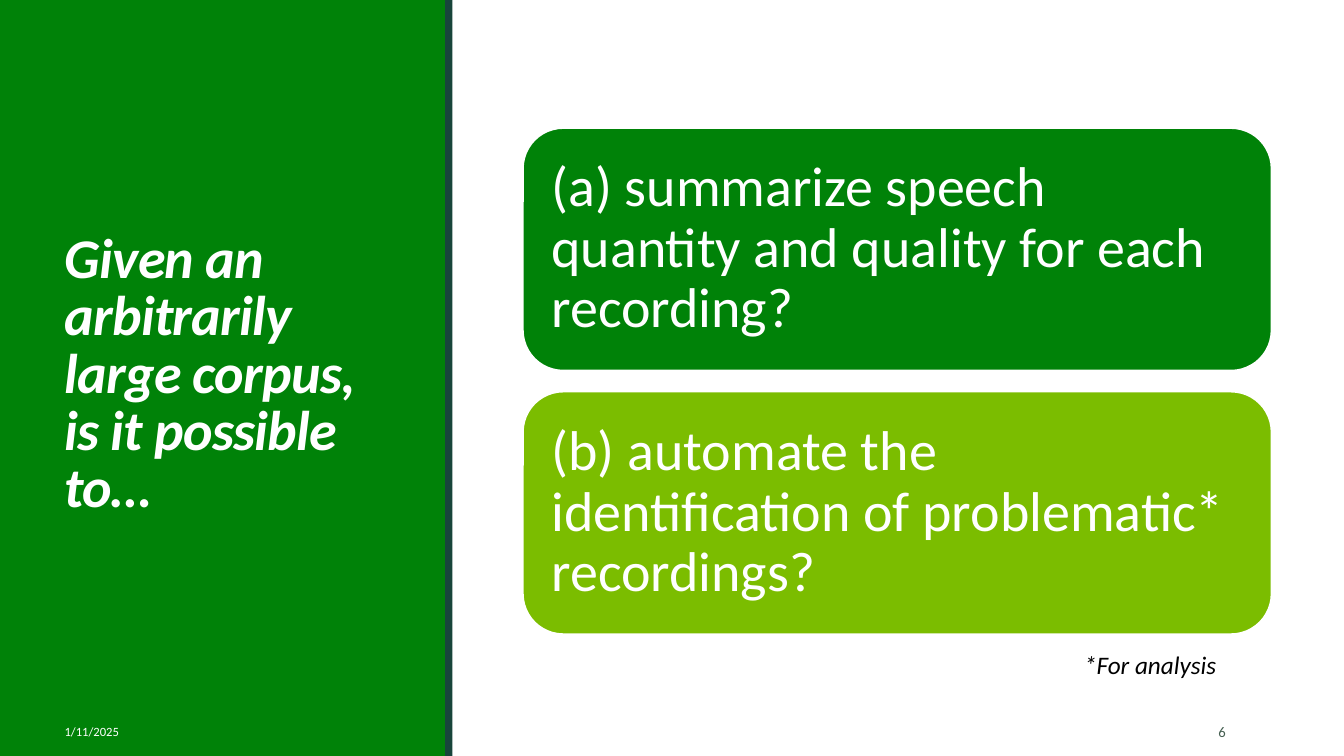
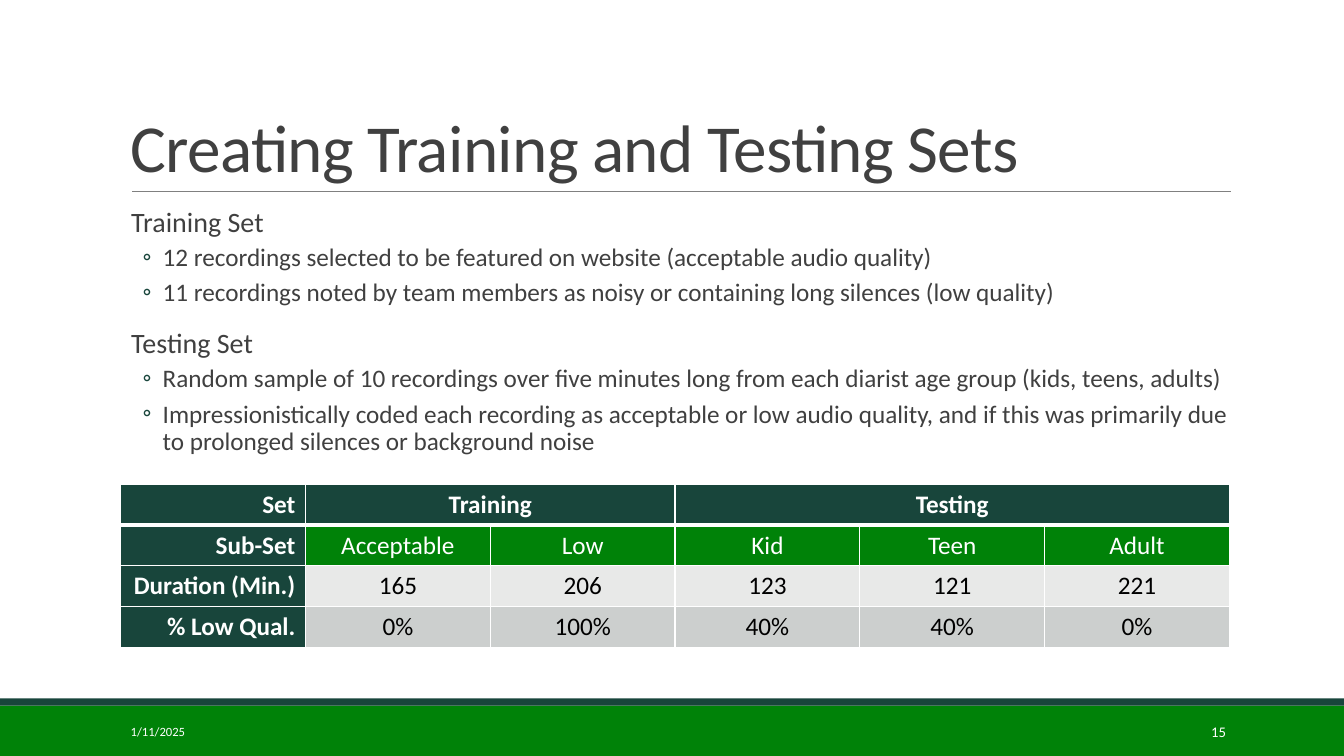
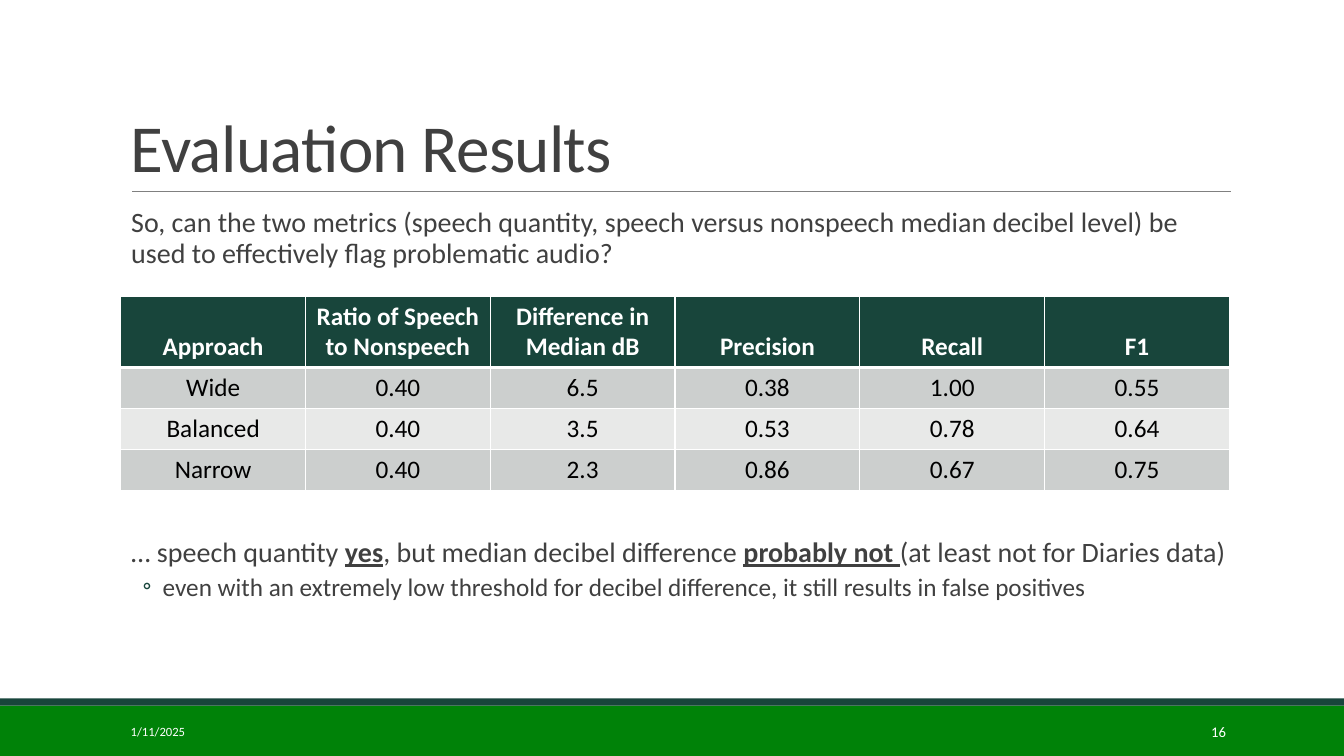
from dataclasses import dataclass
from typing import NamedTuple

from lxml.etree import SubElement
from pptx import Presentation
from pptx.dml.color import RGBColor
from pptx.enum.shapes import MSO_CONNECTOR, MSO_SHAPE
from pptx.enum.text import MSO_ANCHOR, MSO_AUTO_SIZE, PP_ALIGN
from pptx.oxml.ns import qn
from pptx.util import Emu, Pt

PX = 9525  # EMU in one px, 96 px to the inch
FONT = "Calibri"
DATE = "1/11/2025"
COLORS = {
    "green": "008208",
    "dark": "18453B",
    "lime": "7BBD00",
    "text": "404040",
    "number": "455F51",
    "rule": "808080",
    "band_light": "E8E9E8",
    "band_dark": "CCCFCE",
    "white": "FFFFFF",
    "black": "000000",
}


class Box(NamedTuple):
    x: int
    y: int
    w: int
    h: int


class RowStyle(NamedTuple):
    fill: str
    color: str
    bold: bool


@dataclass
class Run:
    text: str
    marked: bool = False  # bold and underlined


@dataclass
class Para:
    runs: list[Run]
    level: int = 0


@dataclass
class Card:
    text: str
    fill: str


@dataclass
class Grid:
    box: Box
    row_heights: list[int]
    rows: list[list[str | None]]  # None continues the cell on its left
    styles: list[RowStyle]
    anchor: MSO_ANCHOR
    label_column: bool = False


HEADER = RowStyle("dark", "white", True)
SUBHEADER = RowStyle("green", "white", False)
LIGHT = RowStyle("band_light", "black", False)
DARK = RowStyle("band_dark", "black", False)

# Paragraph formats of the two outline levels
LEVELS = [
    {"size": 20, "before": 12, "after": 2, "margin": 10, "indent": 0},
    {"size": 18, "before": 2, "after": 4, "margin": 40, "indent": -19},
]


def px(n: int) -> Emu:
    return Emu(n * PX)


def place(box: Box) -> list[Emu]:
    return [px(n) for n in box]


def rgb(name: str) -> RGBColor:
    return RGBColor.from_string(COLORS[name])


def set_attrs(target, **fmt) -> None:
    for key, value in fmt.items():
        setattr(target, key, value)


def add_run(p, text: str, size: float, color: str, **fmt):
    r = p.add_run()
    r.text = text
    set_attrs(r.font, name=FONT, size=Pt(size), **fmt)
    r.font.color.rgb = rgb(color)
    return r


def add_block(s, box: Box, fill: str, shape=MSO_SHAPE.RECTANGLE):
    sp = s.shapes.add_shape(shape, *place(box))
    sp.shadow.inherit = False
    sp.fill.solid()
    sp.fill.fore_color.rgb = rgb(fill)
    sp.line.fill.background()
    return sp


def add_label(s, box: Box, text: str, size: float, color: str,
              align=PP_ALIGN.LEFT, anchor=MSO_ANCHOR.MIDDLE, **fmt) -> None:
    tf = s.shapes.add_textbox(*place(box)).text_frame
    set_attrs(tf, word_wrap=True, vertical_anchor=anchor)
    p = tf.paragraphs[0]
    p.alignment = align
    add_run(p, text, size, color, **fmt)


def set_title(s, text: str, box: Box, size: int, color: str, anchor, **fmt) -> None:
    sp = s.shapes.title
    left, top, width, height = place(box)
    set_attrs(sp, left=left, top=top, width=width, height=height)
    tf = sp.text_frame
    set_attrs(tf, word_wrap=True, auto_size=MSO_AUTO_SIZE.NONE, vertical_anchor=anchor)
    p = tf.paragraphs[0]
    set_attrs(p, alignment=PP_ALIGN.LEFT, line_spacing=0.85)
    r = add_run(p, text, size, color, **fmt)
    r.font._element.set("spc", "-50")
    # Bring the title in front of the panels
    sp.element.getparent().append(sp.element)


def add_footer(s, number: int, date_box: Box, number_box: Box, number_color: str) -> None:
    add_label(s, date_box, DATE, 9, "white")
    add_label(s, number_box, str(number), 10.5, number_color, PP_ALIGN.RIGHT)


def add_outline(s, box: Box, paras: list[Para]) -> None:
    tf = s.shapes.add_textbox(*place(box)).text_frame
    set_attrs(tf, word_wrap=True, margin_left=0, margin_right=0)
    for i, para in enumerate(paras):
        p = tf.add_paragraph() if i else tf.paragraphs[0]
        level = LEVELS[para.level]
        set_attrs(p, level=para.level, line_spacing=0.9,
                  space_before=Pt(level["before"]), space_after=Pt(level["after"]))
        pPr = p._p.get_or_add_pPr()
        pPr.set("marL", str(px(level["margin"])))
        pPr.set("indent", str(px(level["indent"])))
        if para.level:
            color = SubElement(pPr, qn("a:buClr"))
            SubElement(color, qn("a:srgbClr"), val=COLORS["dark"])
            SubElement(pPr, qn("a:buFont"), typeface=FONT)
            SubElement(pPr, qn("a:buChar"), char="◦")
        for run in para.runs:
            add_run(p, run.text, level["size"], "text", bold=run.marked, underline=run.marked)


def add_borders(cell, widths: dict[str, int]) -> None:
    tcPr = cell._tc.get_or_add_tcPr()
    for side, width in widths.items():
        ln = SubElement(tcPr, qn(f"a:ln{side}"), w=str(Pt(width)))
        fill = SubElement(ln, qn("a:solidFill"))
        SubElement(fill, qn("a:srgbClr"), val=COLORS["white"])


def add_grid(s, grid: Grid) -> None:
    n_cols = len(grid.rows[0])
    table = s.shapes.add_table(len(grid.rows), n_cols, *place(grid.box)).table
    for col in table.columns:
        col.width = px(grid.box.w // n_cols)
    for i, (height, row, row_style) in enumerate(zip(grid.row_heights, grid.rows, grid.styles)):
        table.rows[i].height = px(height)
        for j, text in enumerate(row):
            cell = table.cell(i, j)
            is_label = grid.label_column and j == 0
            style = HEADER if is_label else row_style
            add_borders(cell, {"L": 1, "R": 1, "T": 3 if i == 1 else 1, "B": 3 if i == 0 else 1})
            cell.fill.solid()
            cell.fill.fore_color.rgb = rgb(style.fill)
            cell.vertical_anchor = grid.anchor
            if text is None:
                continue
            p = cell.text_frame.paragraphs[0]
            p.alignment = PP_ALIGN.RIGHT if is_label else PP_ALIGN.CENTER
            add_run(p, text, 18, style.color, bold=style.bold)
            # Join the empty cells that follow
            end = j
            while end + 1 < n_cols and row[end + 1] is None:
                end += 1
            if end > j:
                cell.merge(table.cell(i, end))


def new_slide(prs):
    return prs.slides.add_slide(prs.slide_layouts[5])


def content_slide(prs, title: str, number: int):
    """Slide with the bottom bands, title, rule and footer."""
    s = new_slide(prs)
    add_block(s, Box(0, 672, 1280, 48), "green")
    add_block(s, Box(0, 665, 1280, 7), "dark")
    rule = s.shapes.add_connector(MSO_CONNECTOR.STRAIGHT, px(126), px(182), px(1172), px(182))
    rule.line.width = Pt(0.5)
    rule.line.color.rgb = rgb("rule")
    SubElement(rule._element.spPr, qn("a:effectLst"))
    set_title(s, title, Box(115, 30, 1056, 152), 48, "text", MSO_ANCHOR.BOTTOM)
    add_footer(s, number, Box(115, 678, 259, 38), Box(1040, 678, 137, 38), "white")
    return s


def question_slide(prs) -> None:
    s = new_slide(prs)
    # Side panel
    add_block(s, Box(0, 0, 425, 720), "green")
    add_block(s, Box(424, 0, 7, 720), "dark")
    set_title(s, "Given an arbitrarily large corpus, is it possible to…",
              Box(52, 55, 324, 606), 40, "white", MSO_ANCHOR.MIDDLE, bold=True, italic=True)
    add_footer(s, 6, Box(52, 678, 182, 38), Box(1063, 678, 114, 38), "number")
    # Question cards
    cards = [
        Card("(a) summarize speech quantity and quality for each recording?", "green"),
        Card("(b) automate the identification of problematic* recordings?", "lime"),
    ]
    for i, card in enumerate(cards):
        sp = add_block(s, Box(498, 122 + i * 251, 713, 231), card.fill,
                       MSO_SHAPE.ROUNDED_RECTANGLE)
        sp.line.width = Pt(1.25)
        sp.line.color.rgb = rgb("white")
        tf = sp.text_frame
        set_attrs(tf, word_wrap=True, vertical_anchor=MSO_ANCHOR.MIDDLE, margin_left=px(16),
                  margin_right=px(16), margin_top=px(16), margin_bottom=px(16))
        p = tf.paragraphs[0]
        set_attrs(p, alignment=PP_ALIGN.LEFT, line_spacing=0.9)
        add_run(p, card.text, 40, "white")
    add_label(s, Box(1023, 614, 168, 38), "*For analysis", 18, "black",
              anchor=MSO_ANCHOR.TOP, italic=True)


def sets_slide(prs) -> None:
    s = content_slide(prs, "Creating Training and Testing Sets", 15)
    lines = [
        (0, "Training Set"),
        (1, "12 recordings selected to be featured on website (acceptable audio quality)"),
        (1, "11 recordings noted by team members as noisy or containing long silences "
            "(low quality)"),
        (0, "Testing Set"),
        (1, "Random sample of 10 recordings over five minutes long from each diarist age group "
            "(kids, teens, adults)"),
        (1, "Impressionistically coded each recording as acceptable or low audio quality, "
            "and if this was primarily due to prolonged silences or background noise"),
    ]
    add_outline(s, Box(115, 194, 1056, 260), [Para([Run(text)], level) for level, text in lines])
    add_grid(s, Grid(
        Box(115, 461, 1056, 156), [39] * 4,
        [
            ["Set", "Training", None, "Testing", None, None],
            ["Sub-Set", "Acceptable", "Low", "Kid", "Teen", "Adult"],
            ["Duration (Min.)", "165", "206", "123", "121", "221"],
            ["% Low Qual.", "0%", "100%", "40%", "40%", "0%"],
        ],
        [HEADER, SUBHEADER, LIGHT, DARK], MSO_ANCHOR.MIDDLE, label_column=True))


def results_slide(prs) -> None:
    s = content_slide(prs, "Evaluation Results", 16)
    add_outline(s, Box(115, 194, 1056, 72), [
        Para([Run("So, can the two metrics (speech quantity, speech versus nonspeech median "
                  "decibel level) be used to effectively flag problematic audio?")]),
    ])
    add_grid(s, Grid(
        Box(115, 282, 1056, 185), [68, 39, 39, 39],
        [
            ["Approach", "Ratio of Speech to Nonspeech", "Difference in Median dB",
             "Precision", "Recall", "F1"],
            ["Wide", "0.40", "6.5", "0.38", "1.00", "0.55"],
            ["Balanced", "0.40", "3.5", "0.53", "0.78", "0.64"],
            ["Narrow", "0.40", "2.3", "0.86", "0.67", "0.75"],
        ],
        [HEADER, DARK, LIGHT, DARK], MSO_ANCHOR.BOTTOM))
    add_outline(s, Box(115, 508, 1056, 76), [
        Para([
            Run("… speech quantity "),
            Run("yes", marked=True),
            Run(", but median decibel difference "),
            Run("probably not ", marked=True),
            Run("(at least not for Diaries data)"),
        ]),
        Para([Run("even with an extremely low threshold for decibel difference, "
                  "it still results in false positives")], level=1),
    ])


def main() -> None:
    prs = Presentation()
    set_attrs(prs, slide_width=px(1280), slide_height=px(720))
    for build in (question_slide, sets_slide, results_slide):
        build(prs)
    prs.save("out.pptx")


if __name__ == "__main__":
    main()
